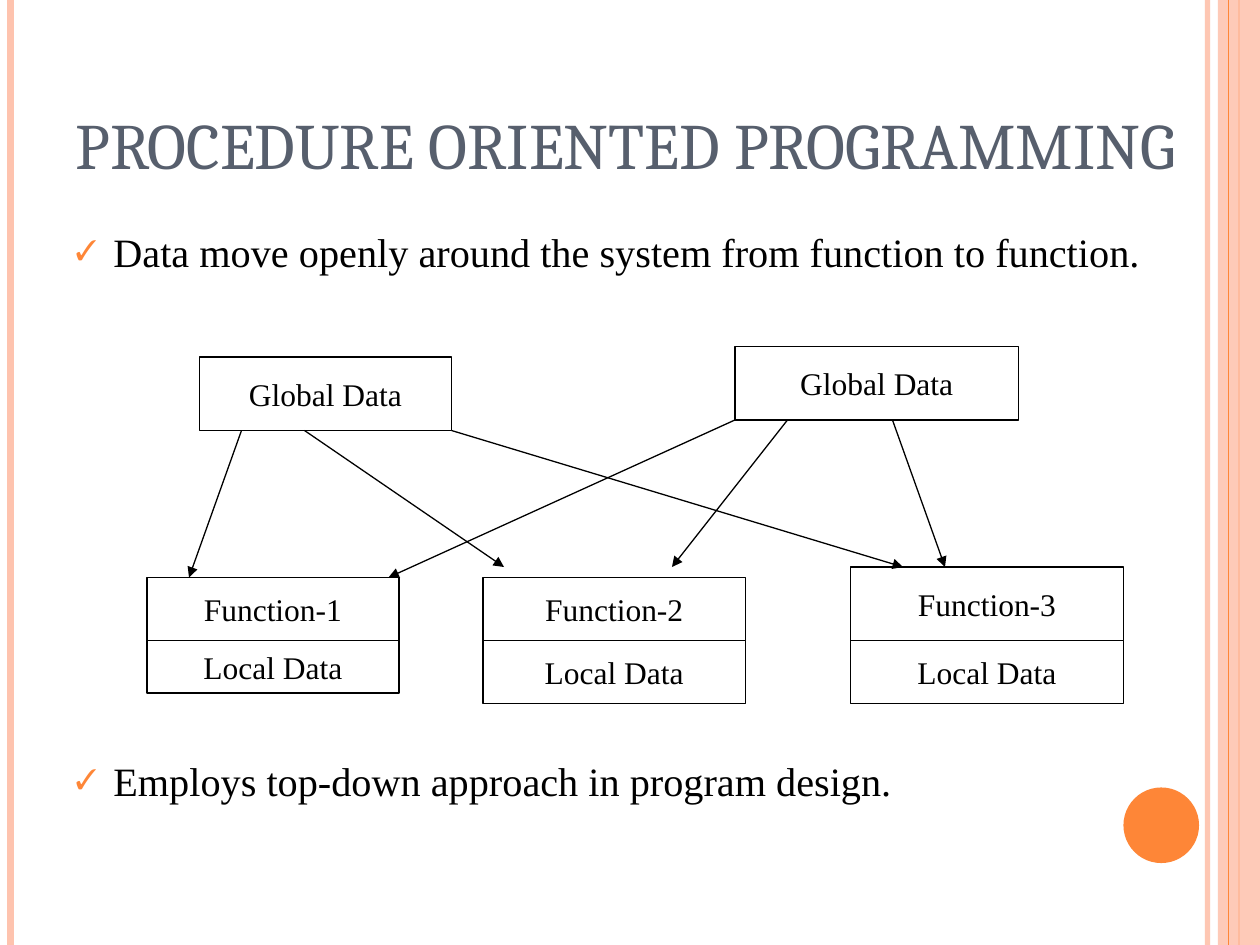
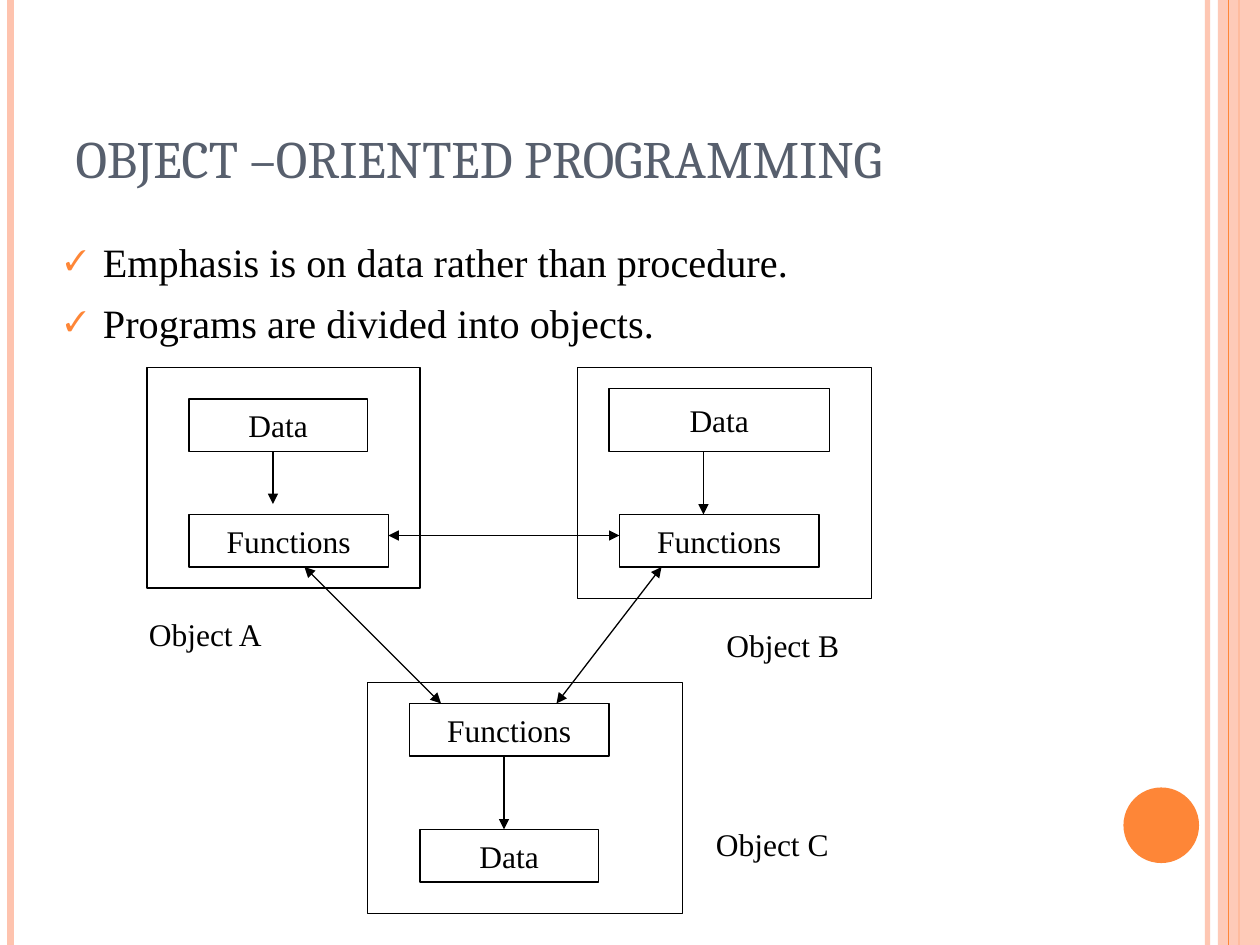
import pptx
import pptx.util
import pptx.dml.color
import pptx.enum.shapes
import pptx.enum.text
import pptx.oxml.ns
import pptx.oxml.xmlchemy

SHAPE = pptx.enum.shapes.MSO_SHAPE
ALIGN = pptx.enum.text.PP_ALIGN
ANCHOR = pptx.enum.text.MSO_ANCHOR
qn = pptx.oxml.ns.qn

EMU_PER_PX = 7620
WIDTH, HEIGHT = 1200, 900
INK, PAPER, SLATE, ORANGE, PEACH = "000000", "FFFFFF", "575F6D", "FE8637", "FEC3AE"
TITLE_FONT, BODY_FONT = "Cambria", "Times New Roman"
TITLE_SIZE_BIG, TITLE_SIZE, BULLET_SIZE, LABEL_SIZE = 37, 30, 23, 18
HANG = 36

RULES_BELOW = [(1150, PEACH, 3, 93), (10, PEACH, 4.5, 100), (1180, ORANGE, 1.5, 100)]
BAND = (1160, 0, 40, HEIGHT)
RULES_ABOVE = [(1170, ORANGE, 0.75, 100)]
DISC = (1070, 750, 72, 72)

FUNCTION_COLUMNS = [
    ("Function-1", 140, 550, 240, 50),
    ("Function-2", 460, 550, 250, 60),
    ("Function-3", 810, 540, 260, 60),
]
LOCAL_TOP = 610

procedure_boxes = [
    ("Global Data", (190, 340, 240, 70)),
    ("Global Data", (700, 330, 270, 70)),
]
for name, x, y, w, local_h in FUNCTION_COLUMNS:
    procedure_boxes.append((name, (x, y, w, LOCAL_TOP - y)))
    procedure_boxes.append(("Local Data", (x, LOCAL_TOP, w, local_h)))

SLIDES = [
    {
        "title": "PROCEDURE ORIENTED PROGRAMMING",
        "title_size": TITLE_SIZE_BIG,
        "title_at": (60, 60, 1110, 120),
        "bullets": [
            ("Data move openly around the system from function to function.", 0),
            ("Employs top-down approach in program design.", 275),
        ],
        "body_at": (60, 210, 1100, 610),
        "boxes": procedure_boxes,
        "arrows": [
            (230, 410, 180, 550),
            (290, 410, 480, 540),
            (430, 410, 860, 540),
            (700, 400, 370, 550),
            (750, 400, 640, 540),
            (850, 400, 900, 540),
        ],
        "two_way": [],
        "labels": [],
    },
    {
        "title": "OBJECT –ORIENTED PROGRAMMING",
        "title_size": TITLE_SIZE,
        "title_at": (60, 36, 980, 150),
        "bullets": [
            ("Emphasis is on data rather than procedure.", 0),
            ("Programs are divided into objects.", 7),
        ],
        "body_at": (50, 220, 1100, 660),
        "boxes": [
            ("", (140, 350, 260, 210)),
            ("Data", (180, 380, 170, 50)),
            ("Functions", (180, 490, 190, 50)),
            ("", (550, 350, 280, 220)),
            ("Data", (580, 370, 210, 60)),
            ("Functions", (590, 490, 190, 50)),
            ("", (350, 650, 300, 220)),
            ("Functions", (390, 670, 190, 50)),
            ("Data", (400, 790, 170, 50)),
        ],
        "arrows": [
            (260, 430, 260, 480),
            (670, 430, 670, 490),
            (480, 720, 480, 790),
        ],
        "two_way": [
            (370, 510, 590, 510),
            (290, 540, 420, 670),
            (630, 540, 530, 670),
        ],
        "labels": [
            ("Object A", (130, 580, 180, 48)),
            ("Object B", (680, 590, 230, 48)),
            ("Object C", (670, 780, 230, 48)),
        ],
    },
]


def px(*values):
    return [pptx.util.Emu(v * EMU_PER_PX) for v in values]


def rgb(color):
    return pptx.dml.color.RGBColor.from_string(color)


def child(parent, tag, **attrs):
    el = pptx.oxml.xmlchemy.OxmlElement(tag)
    for key, value in attrs.items():
        el.set(key, str(value))
    parent.append(el)
    return el


def set_alpha(fill_parent, percent):
    if percent < 100:
        clr = fill_parent.find(qn("a:solidFill")).find(qn("a:srgbClr"))
        child(clr, "a:alpha", val=percent * 1000)


def write(p, text, font, size, color):
    r = p.add_run()
    r.text = text
    r.font.name = font
    r.font.size = pptx.util.Pt(size)
    r.font.color.rgb = rgb(color)


def add_line(slide, ends, color=INK, width=0.75, alpha=100, heads=()):
    cx = slide.shapes.add_connector(pptx.enum.shapes.MSO_CONNECTOR.STRAIGHT, *px(*ends))
    cx.line.color.rgb = rgb(color)
    cx.line.width = pptx.util.Pt(width)
    ln = cx._element.spPr.find(qn("a:ln"))
    set_alpha(ln, alpha)
    for head in heads:
        child(ln, head, type="triangle")
    child(cx._element.spPr, "a:effectLst")
    return cx


def add_block(slide, at, fill, kind=SHAPE.RECTANGLE, outline=None, alpha=100):
    sp = slide.shapes.add_shape(kind, *px(*at))
    sp.shadow.inherit = False
    sp.fill.solid()
    sp.fill.fore_color.rgb = rgb(fill)
    set_alpha(sp._element.spPr, alpha)
    if outline:
        sp.line.color.rgb = rgb(outline)
        sp.line.width = pptx.util.Pt(0.75)
    else:
        sp.line.fill.background()
    return sp


def add_box(slide, text, at):
    sp = add_block(slide, at, PAPER, outline=INK)
    if text:
        tf = sp.text_frame
        tf.word_wrap = False
        tf.vertical_anchor = ANCHOR.MIDDLE
        p = tf.paragraphs[0]
        p.alignment = ALIGN.CENTER
        write(p, text, BODY_FONT, LABEL_SIZE, INK)


def add_label(slide, text, at):
    tf = slide.shapes.add_textbox(*px(*at)).text_frame
    tf.word_wrap = True
    write(tf.paragraphs[0], text, BODY_FONT, LABEL_SIZE, INK)


def place(sp, at, anchor):
    sp.left, sp.top, sp.width, sp.height = px(*at)
    tf = sp.text_frame
    tf.auto_size = pptx.enum.text.MSO_AUTO_SIZE.NONE
    tf.word_wrap = True
    tf.vertical_anchor = anchor
    return tf


def fill_title(slide, text, size, at):
    p = place(slide.shapes.title, at, ANCHOR.BOTTOM).paragraphs[0]
    p.alignment = ALIGN.LEFT
    write(p, text, TITLE_FONT, size, SLATE)


def fill_body(slide, bullets, at):
    tf = place(slide.placeholders[1], at, ANCHOR.TOP)
    for i, (text, gap) in enumerate(bullets):
        p = tf.add_paragraph() if i else tf.paragraphs[0]
        p.space_before = pptx.util.Pt(gap)
        pPr = p._p.get_or_add_pPr()
        pPr.set("marL", str(HANG * EMU_PER_PX))
        pPr.set("indent", str(-HANG * EMU_PER_PX))
        child(child(pPr, "a:buClr"), "a:srgbClr", val=ORANGE)
        child(pPr, "a:buSzPct", val=70000)
        child(pPr, "a:buFont", typeface=BODY_FONT)
        child(pPr, "a:buChar", char="✓")
        write(p, text, BODY_FONT, BULLET_SIZE, INK)


def decorate_master(prs, slide):
    def rules(items):
        return [add_line(slide, (x, 0, x, HEIGHT), *style) for x, *style in items]

    parts = rules(RULES_BELOW)
    parts.append(add_block(slide, BAND, PEACH, alpha=87))
    parts += rules(RULES_ABOVE)
    parts.append(add_block(slide, DISC, ORANGE, SHAPE.OVAL))
    tree = prs.slide_master.shapes._spTree
    for i, part in enumerate(parts):
        part._element[0][0].set("id", str(20 + i))
        tree.insert(2 + i, part._element)


def main():
    prs = pptx.Presentation()
    prs.slide_width, prs.slide_height = px(WIDTH, HEIGHT)
    for i, content in enumerate(SLIDES):
        slide = prs.slides.add_slide(prs.slide_layouts[1])
        if i == 0:
            decorate_master(prs, slide)
        fill_title(slide, content["title"], content["title_size"], content["title_at"])
        fill_body(slide, content["bullets"], content["body_at"])
        for text, at in content["boxes"]:
            add_box(slide, text, at)
        for ends in content["arrows"]:
            add_line(slide, ends, heads=["a:tailEnd"])
        for ends in content["two_way"]:
            add_line(slide, ends, heads=["a:headEnd", "a:tailEnd"])
        for text, at in content["labels"]:
            add_label(slide, text, at)
    prs.save("out.pptx")


if __name__ == "__main__":
    main()
